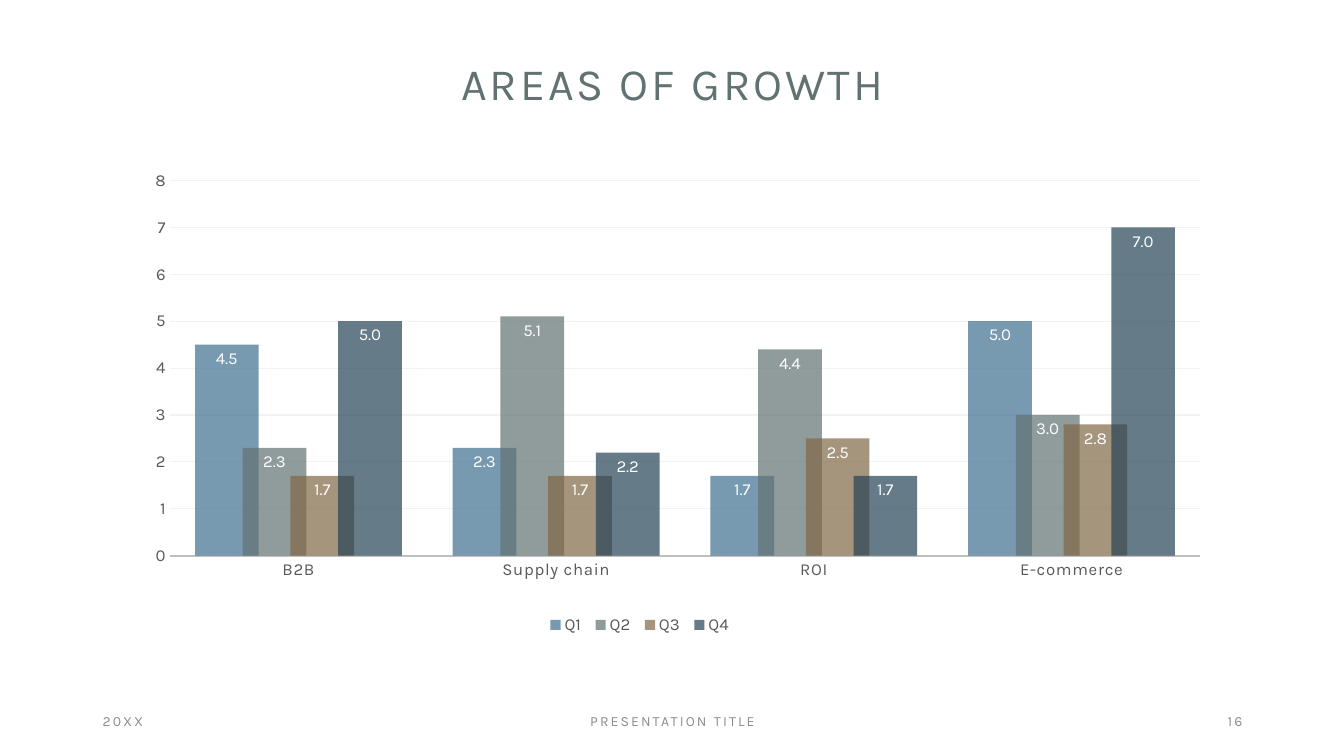
"""Build the "Areas of growth" slide: a clustered column chart with title and footer."""
from lxml import etree
from pptx import Presentation
from pptx import util as u
from pptx.chart import data as chart_data
from pptx.dml import color
from pptx.enum import chart as ch, text
from pptx.oxml import ns

THEME = {
    "font": "Karla",
    "title": {"size": 32, "color": "627272", "spacing": 2},
    "footer": {"size": 10, "color": "8C8C8C", "spacing": 1.5},
    "axis": {"size": 12, "color": "595959"},
    "label": {"size": 12, "color": "FFFFFF"},
    "axis_line": "BFBFBF",
    "grid": "F2F2F2",
    "quarters": ["3E7090", "627272", "816846", "254356"],
    "opacity": 70,
}


def style_font(font, look):
    values = {"name": THEME["font"], "size": u.Pt(look["size"]), "bold": False}
    for key, value in values.items():
        setattr(font, key, value)
    font.color.rgb = color.RGBColor.from_string(look["color"])


def write_line(shape, wording, look, align, place):
    for key, value in zip(("left", "top", "width", "height"), place):
        setattr(shape, key, u.Inches(value))
    frame = shape.text_frame
    settings = {
        "word_wrap": True,
        "auto_size": text.MSO_AUTO_SIZE.NONE,
        "vertical_anchor": text.MSO_ANCHOR.MIDDLE,
    }
    for key, value in settings.items():
        setattr(frame, key, value)
    line = frame.paragraphs[0]
    line.alignment = align
    run = line.add_run()
    run.text = wording
    style_font(run.font, look)
    run.font._element.set("spc", str(int(look["spacing"] * 100))) if hasattr(
        run.font, "_element") else run._r.get_or_add_rPr().set("spc", str(int(look["spacing"] * 100)))
    return line


prs = Presentation()
prs.slide_width, prs.slide_height = u.Inches(13.33), u.Inches(7.5)
slide = prs.slides.add_slide(prs.slide_layouts[5])

heading = write_line(slide.shapes.title, "AREAS OF GROWTH", THEME["title"],
                     text.PP_ALIGN.CENTER, (0.92, 0.54, 11.5, 0.62))
heading.line_spacing = 0.9

growth = chart_data.CategoryChartData(number_format="#,##0.0")
growth.categories = ["B2B", "Supply chain", "ROI", "E-commerce"]
for quarter, values in {
    "Q1": (4.5, 2.3, 1.7, 5),
    "Q2": (2.3, 5.1, 4.4, 3),
    "Q3": (1.7, 1.7, 2.5, 2.8),
    "Q4": (5, 2.2, 1.7, 7),
}.items():
    growth.add_series(quarter, values)

chart = slide.shapes.add_chart(
    ch.XL_CHART_TYPE.COLUMN_CLUSTERED, u.Inches(1.26), u.Inches(1.65),
    u.Inches(10.82), u.Inches(4.69), growth).chart
style_font(chart.font, {"size": 10, "color": "000000"})
chart.has_title = False
chart.has_legend = True
chart.legend.position = ch.XL_LEGEND_POSITION.BOTTOM
chart.legend.include_in_layout = False
style_font(chart.legend.font, THEME["axis"])

columns = chart.plots[0]
for key, value in {"gap_width": 80, "overlap": 25, "vary_by_categories": False}.items():
    setattr(columns, key, value)

for series, fill_color in zip(columns.series, THEME["quarters"]):
    fill = series.format.fill
    fill.solid()
    fill.fore_color.rgb = color.RGBColor.from_string(fill_color)
    tint = series._element.find(".//" + ns.qn("a:srgbClr"))
    etree.SubElement(tint, ns.qn("a:alpha"), val=str(THEME["opacity"] * 1000))
    labels = series.data_labels
    for key, value in {
        "show_value": True,
        "position": ch.XL_LABEL_POSITION.INSIDE_END,
        "number_format": "#,##0.0",
        "number_format_is_linked": False,
    }.items():
        setattr(labels, key, value)
    style_font(labels.font, THEME["label"])

areas, scale = chart.category_axis, chart.value_axis
for axis in (areas, scale):
    axis.major_tick_mark = axis.minor_tick_mark = ch.XL_TICK_MARK.NONE
    style_font(axis.tick_labels.font, THEME["axis"])
areas.format.line.color.rgb = color.RGBColor.from_string(THEME["axis_line"])
areas.format.line.width = u.Pt(1.25)
areas._element.find(".//" + ns.qn("a:defRPr")).set("spc", "50")

for key, value in {"minimum_scale": 0, "maximum_scale": 8, "major_unit": 1}.items():
    setattr(scale, key, value)
scale.tick_labels.number_format = "0"
scale.tick_labels.number_format_is_linked = False
scale.format.line.fill.background()
grid = scale.major_gridlines.format.line
grid.color.rgb = color.RGBColor.from_string(THEME["grid"])
grid.width = u.Pt(0.75)

plot_area = chart._chartSpace.find(".//" + ns.qn("c:plotArea"))
for part, inner, bounds in (
    (plot_area, True, (0.039, 0.03, 0.945, 0.794)),
    (chart.legend._element, False, (0.38, 0.94, 0.18, 0.06)),
):
    for old in part.findall(ns.qn("c:layout")):
        part.remove(old)
    layout = etree.Element(ns.qn("c:layout"))
    manual = etree.SubElement(layout, ns.qn("c:manualLayout"))
    if inner:
        etree.SubElement(manual, ns.qn("c:layoutTarget"), val="inner")
    for tag in ("xMode", "yMode"):
        etree.SubElement(manual, ns.qn("c:" + tag), val="edge")
    for tag, bound in zip("xywh", bounds):
        etree.SubElement(manual, ns.qn("c:" + tag), val=str(bound))
    part.insert(0 if inner else 1, layout)

for wording, align, left, width in (
    ("20XX", text.PP_ALIGN.LEFT, 0.92, 3),
    ("PRESENTATION TITLE", text.PP_ALIGN.CENTER, 4.42, 4.5),
    ("16", text.PP_ALIGN.RIGHT, 9.42, 3),
):
    box = slide.shapes.add_textbox(0, 0, 0, 0)
    write_line(box, wording, THEME["footer"], align, (left, 6.95, width, 0.4))

prs.save("out.pptx")
